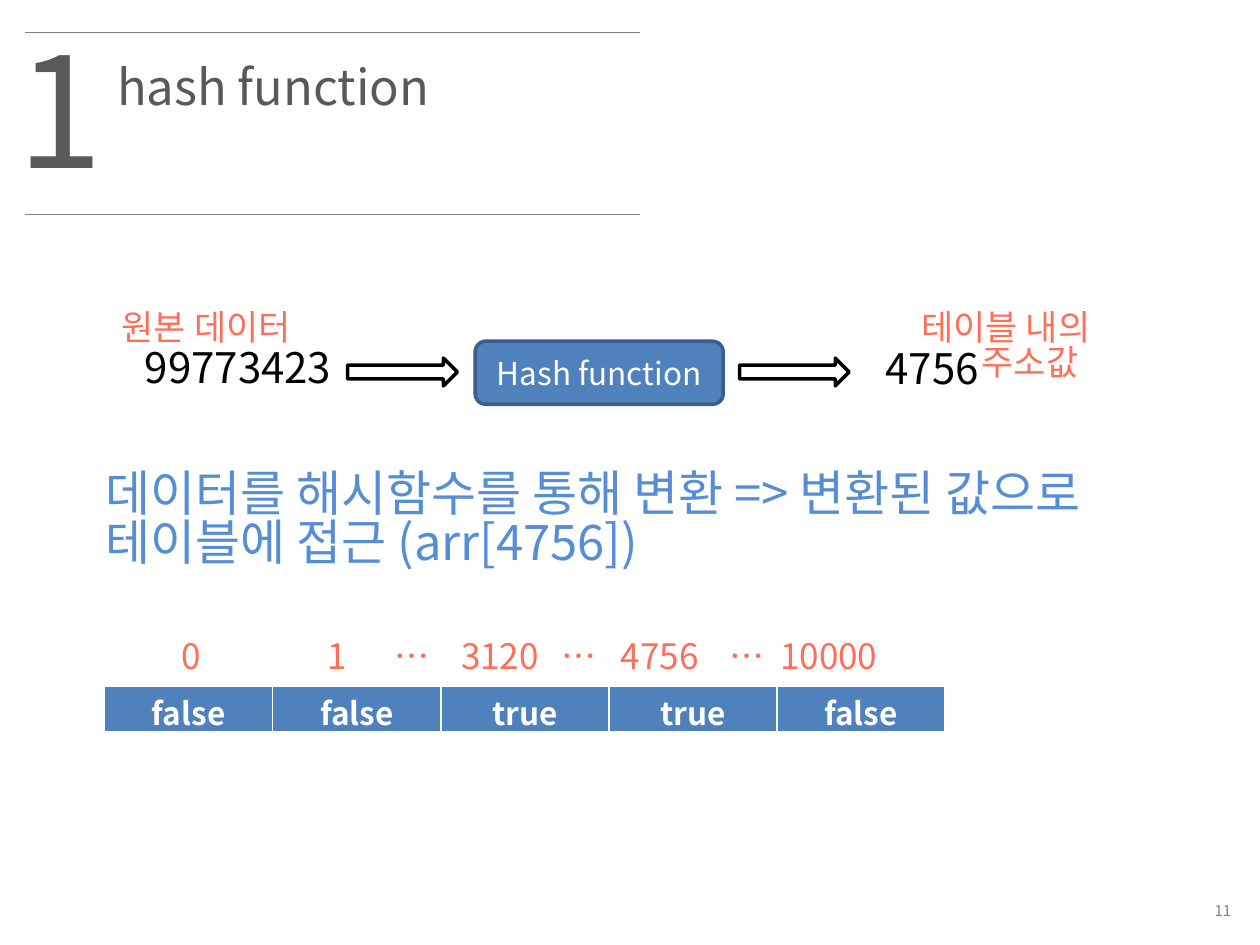
from lxml import etree
from pptx import Presentation
from pptx import util as u
from pptx.dml.color import RGBColor
from pptx.enum import shapes, text
from pptx.oxml.ns import qn

COLORS = {
    "white": "FFFFFF", "black": "000000", "rule": "808080", "heading": "595959",
    "label": "FF6E57", "body": "558ED5", "fill": "4F81BD", "outline": "3A5F8C",
}
FONT = "Noto Sans CJK KR"
LEFT, CENTER, RIGHT = text.PP_ALIGN.LEFT, text.PP_ALIGN.CENTER, text.PP_ALIGN.RIGHT
MIDDLE = text.MSO_ANCHOR.MIDDLE


def rgb(name):
    return RGBColor.from_string(COLORS[name])


class Deck:
    """Style and current slide."""

    def __init__(self):
        self.prs = Presentation()
        self.prs.slide_width, self.prs.slide_height = u.Cm(25.4), u.Cm(19.05)
        self.s = self.prs.slides.add_slide(self.prs.slide_layouts[6])

    def run(self, p, words, size, color, bold=False):
        r = p.add_run()
        r.text = words
        r.font.name, r.font.size, r.font.bold = FONT, u.Pt(size), bold
        r.font.color.rgb = rgb(color)
        etree.SubElement(r.font._element, qn("a:ea")).set("typeface", FONT)

    def text(self, box, words, size, color, align=LEFT, hanging=False, tabs=()):
        tf = self.s.shapes.add_textbox(*map(u.Cm, box)).text_frame
        tf.word_wrap = True
        # tight lines lift the first baseline, so the top inset makes up for it
        tf.margin_top = u.Cm(0.13) + u.Pt(0.09 * size)
        p = tf.paragraphs[0]
        p.alignment, p.line_spacing = align, 0.83
        pr = p._p.get_or_add_pPr()
        if hanging:
            pr.set("marL", str(u.Cm(0.97)))
            pr.set("indent", str(-u.Cm(0.97)))
        if tabs:
            stops = etree.SubElement(pr, qn("a:tabLst"))
            for x in tabs:
                etree.SubElement(stops, qn("a:tab"), pos=str(u.Cm(x)), algn="ctr")
        self.run(p, words, size, color)
        return tf

    def rule(self, x1, x2, y):
        c = self.s.shapes.add_connector(
            shapes.MSO_CONNECTOR.STRAIGHT, u.Cm(x1), u.Cm(y), u.Cm(x2), u.Cm(y))
        c.line.color.rgb, c.line.width = rgb("rule"), u.Pt(0.75)
        etree.SubElement(c._element.spPr, qn("a:effectLst"))

    def shape(self, kind, box, fill, line, words=""):
        sp = self.s.shapes.add_shape(kind, *map(u.Cm, box))
        sp.shadow.inherit = False
        sp.fill.solid()
        sp.fill.fore_color.rgb = rgb(fill)
        sp.line.color.rgb, sp.line.width = rgb(line), u.Pt(2)
        if words:
            tf = sp.text_frame
            tf.vertical_anchor = MIDDLE
            tf.paragraphs[0].alignment = CENTER
            self.run(tf.paragraphs[0], words, 18, "white")

    def table_row(self, box, values):
        tbl = self.s.shapes.add_table(1, len(values), *map(u.Cm, box)).table
        for cell, value in zip(tbl.iter_cells(), values):
            cell.margin_top, cell.margin_bottom = u.Cm(0.17), 0
            p = cell.text_frame.paragraphs[0]
            p.alignment, p.line_spacing = CENTER, 0.83
            self.run(p, value, 18, "white", bold=True)
            pr = cell._tc.get_or_add_tcPr()
            for side, width in (("L", 1), ("R", 1), ("T", 1), ("B", 3)):
                ln = etree.SubElement(pr, qn("a:ln" + side), w=str(u.Pt(width)))
                fill = etree.SubElement(ln, qn("a:solidFill"))
                etree.SubElement(fill, qn("a:srgbClr"), val=COLORS["white"])
            cell.fill.solid()
            cell.fill.fore_color.rgb = rgb("fill")


def main():
    d = Deck()

    # Heading between two rules
    for y in (0.66, 4.32):
        d.rule(0.51, 12.9, y)
    d.text((0.1, 0.51, 2.01, 4.01), "1", 88, "heading")
    d.text((2.11, 1.12, 7.19, 1.45), "hash function", 28, "heading")

    # Key -> hash function -> address
    d.text((2.67, 6.86, 4.39, 1.27), "99773423", 24, "black")
    d.shape(shapes.MSO_SHAPE.ROUNDED_RECTANGLE, (9.58, 6.88, 5, 1.27),
            "fill", "outline", "Hash function")
    for x in (7.01, 14.91):
        d.shape(shapes.MSO_SHAPE.RIGHT_ARROW, (x, 7.22, 2.21, 0.56), "white", "black")
    d.text((17.6, 6.88, 2.82, 1.27), "4756", 24, "black")
    d.text((1.9, 6.1, 4.52, 1.12), "원본 데이터", 20, "label", CENTER, hanging=True)
    d.text((17.37, 6.12, 5.82, 1.12), "테이블 내의 주소값", 20, "label", CENTER, hanging=True)

    # Explanation
    d.text((1.88, 9.3, 21.67, 2.64),
           "데이터를 해시함수를 통해 변환 => 변환된 값으로 테이블에 접근 (arr[4756])",
           28, "body")

    # Hash table with its indices
    indices = ("0", "1", "…", "3120", "…", "4756", "…", "10000")
    d.text((3.3, 12.75, 16.08, 1.12), "\t" + "\t".join(indices), 20, "label",
           tabs=(0.3, 3.25, 4.75, 6.53, 8.13, 9.75, 11.5, 13.16))
    d.table_row((2.11, 13.84, 16.94, 0.94), ("false", "false", "true", "true", "false"))

    # Page number
    tf = d.text((19.71, 18.03, 5.36, 0.69), "11", 8.5, "rule", RIGHT)
    tf.vertical_anchor = MIDDLE

    d.prs.save("out.pptx")


if __name__ == "__main__":
    main()
